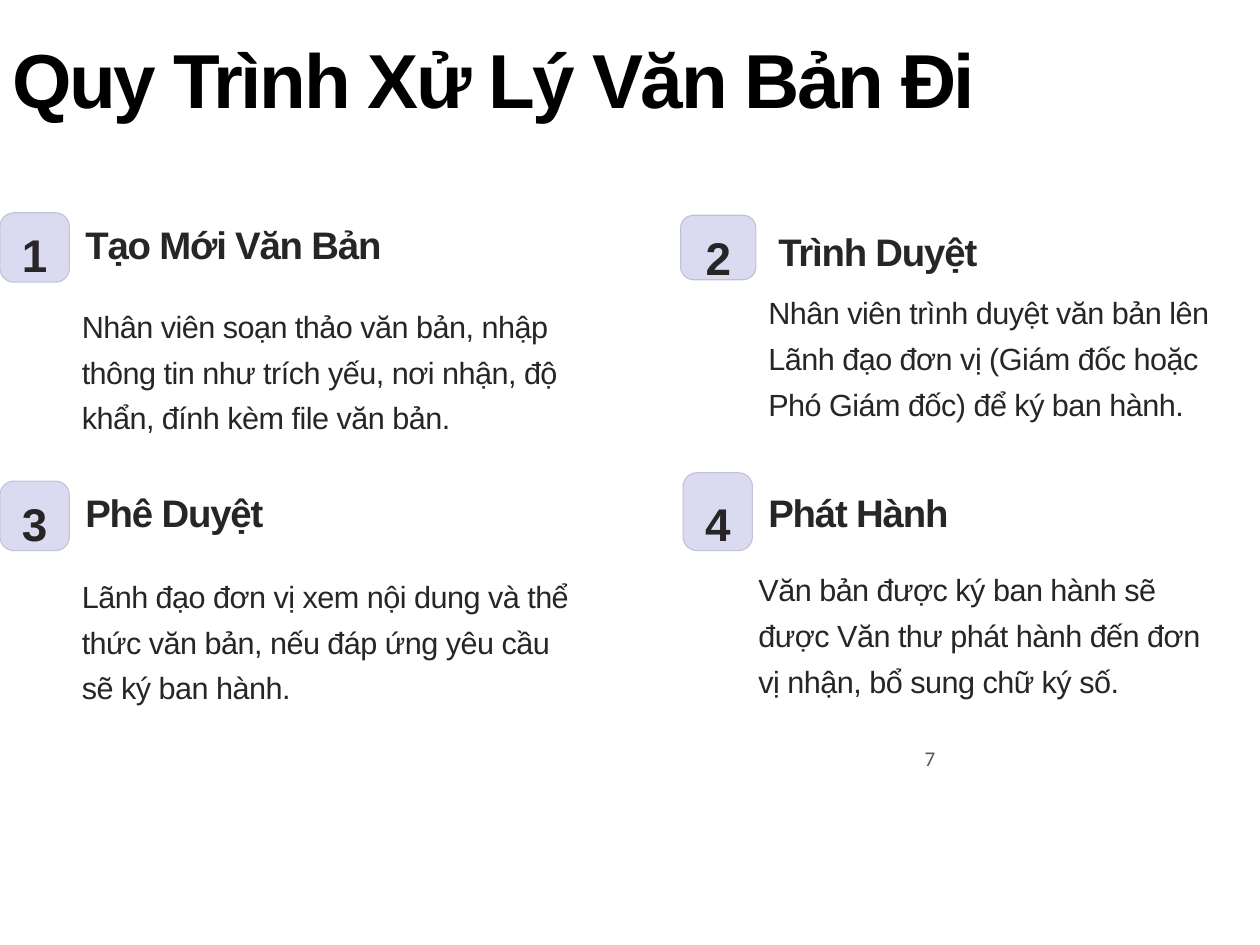
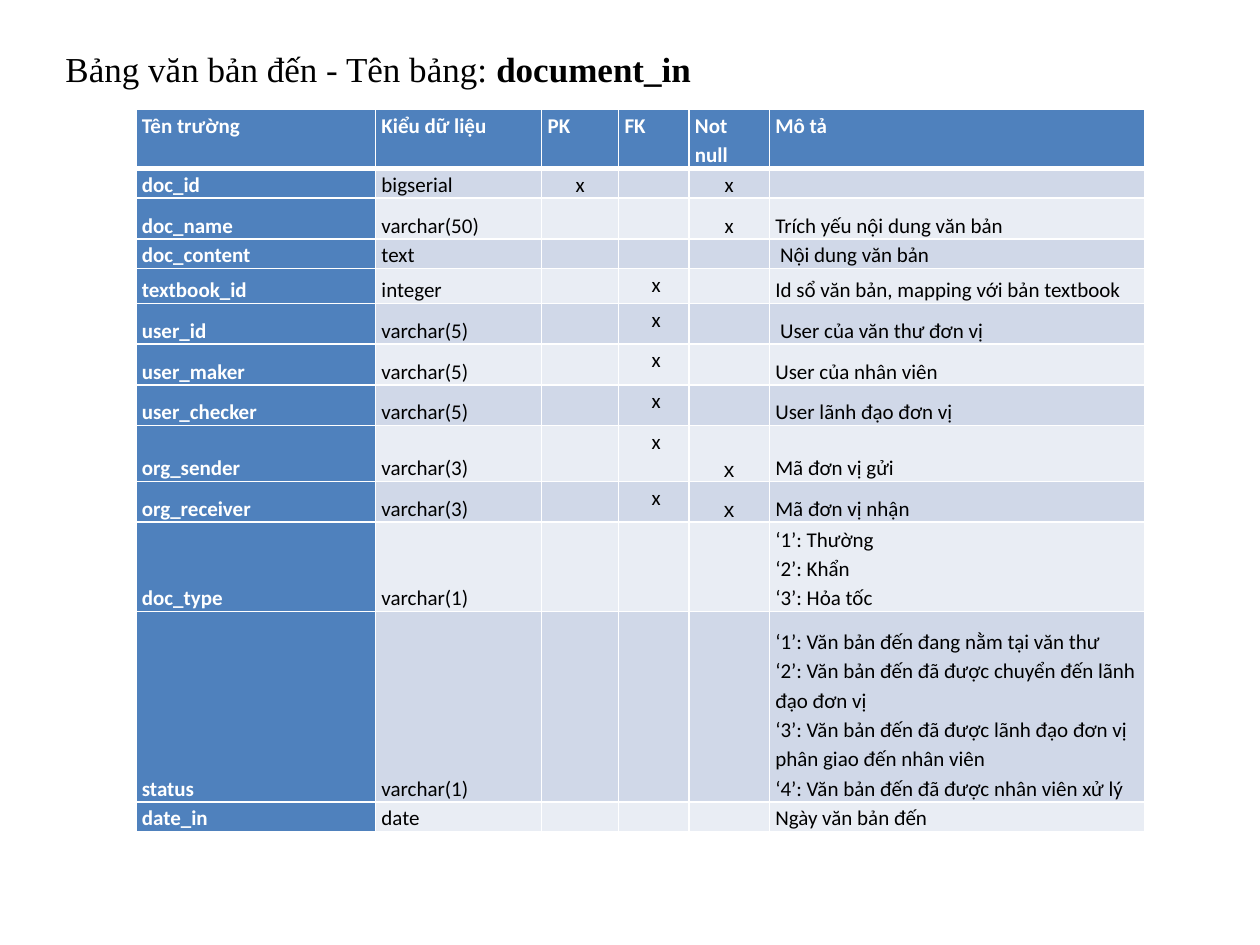
from pptx import Presentation
from pptx.dml.color import RGBColor
from pptx.enum.shapes import MSO_SHAPE
from pptx.enum.text import MSO_ANCHOR, MSO_AUTO_SIZE, PP_ALIGN
from pptx.oxml import parse_xml
from pptx.oxml.ns import nsdecls
from pptx.util import Cm, Pt

ROUND = MSO_SHAPE.ROUNDED_RECTANGLE
TOP, BOTTOM = MSO_ANCHOR.TOP, MSO_ANCHOR.BOTTOM
LEFT, CENTER = PP_ALIGN.LEFT, PP_ALIGN.CENTER
FIXED = MSO_AUTO_SIZE.NONE

COLORS = {
    "black": "000000", "white": "FFFFFF", "ink": "272525", "gray": "585858",
    "badge": "DADBF1", "edge": "C0C1D7",
    "head": "4F81BD", "dark": "D0D8E8", "light": "E9EDF4",
}
PAD = (0.25, 0.13, 0.25, 0.13)
HEAD = dict(size=21.9, color="ink", bold=True, track=-0.7, lead=Pt(27.3))
BODY = dict(size=17.5, color="ink", track=-0.3, lead=Pt(26.2))
DIGIT = dict(size=26.2, color="ink", bold=True, track=-0.8, lead=Pt(32.8), align=CENTER)

# badge box, then heading offset, then body offset and size
STEPS = [
    ((0, 4.29, 1.4, 1.4), (1.47, 0), (1.4, 1.6, 10.46, 3.38), "Tạo Mới Văn Bản",
     "Nhân viên soạn thảo văn bản, nhập thông tin như trích yếu, nơi nhận, "
     "độ khẩn, đính kèm file văn bản."),
    ((13.72, 4.34, 1.52, 1.3), (1.72, 0.1), (1.52, 1.27, 10.16, 3.71), "Trình Duyệt",
     "Nhân viên trình duyệt văn bản lên Lãnh đạo đơn vị (Giám đốc hoặc "
     "Phó Giám đốc) để ký ban hành."),
    ((0, 9.7, 1.4, 1.4), (1.47, 0), (1.4, 1.63, 10.46, 2.77), "Phê Duyệt",
     "Lãnh đạo đơn vị xem nội dung và thể thức văn bản, nếu đáp ứng yêu cầu "
     "sẽ ký ban hành."),
    ((13.77, 9.53, 1.4, 1.57), (1.47, 0.17), (1.27, 1.67, 9.53, 3.48), "Phát Hành",
     "Văn bản được ký ban hành sẽ được Văn thư phát hành đến đơn vị nhận, "
     "bổ sung chữ ký số."),
]

WIDTHS = [4.83, 3.35, 1.55, 1.42, 1.62, 7.57]
HEIGHTS = [1.19, 0.58, 0.82, 0.58, 0.71, 0.82, 0.82, 0.82, 1.13, 0.82, 1.8, 3.84, 0.58]
FK = 3
ROWS = [
    ("Tên trường", "Kiểu dữ liệu", "PK", "FK", "Not null", "Mô tả"),
    ("doc_id", "bigserial", "x", "", "x", ""),
    ("doc_name", "varchar(50)", "", "", "x", "Trích yếu nội dung văn bản"),
    ("doc_content", "text", "", "", "", " Nội dung văn bản"),
    ("textbook_id", "integer", "", " x", "", "Id sổ văn bản, mapping với bản textbook"),
    ("user_id", "varchar(5)", "", " x", "", " User của văn thư đơn vị"),
    ("user_maker", "varchar(5)", "", " x", "", "User của nhân viên"),
    ("user_checker", "varchar(5)", "", " x", "", "User lãnh đạo đơn vị"),
    ("org_sender", "varchar(3)", "", " x", "x", "Mã đơn vị gửi"),
    ("org_receiver", "varchar(3)", "", " x", "x", "Mã đơn vị nhận"),
    ("doc_type", "varchar(1)", "", "", "", "‘1’: Thường\n‘2’: Khẩn\n‘3’: Hỏa tốc"),
    ("status", "varchar(1)", "", "", "",
     "‘1’: Văn bản đến đang nằm tại văn thư\n"
     "‘2’: Văn bản đến đã được chuyển đến lãnh đạo đơn vị\n"
     "‘3’: Văn bản đến đã được lãnh đạo đơn vị phân giao đến nhân viên\n"
     "‘4’: Văn bản đến đã được nhân viên xử lý"),
    ("date_in", "date", "", "", "", "Ngày văn bản đến"),
]


def rgb(name):
    """Return the named colour."""
    return RGBColor.from_string(COLORS[name])


def write(frame, text, tail="", size=12, font="Arial", color="black", bold=False,
          track=0, lead=1.15, align=LEFT):
    """Write text, one paragraph a line, with an optional bold tail."""
    for num, line in enumerate(text.split("\n")):
        para = frame.add_paragraph() if num else frame.paragraphs[0]
        para.alignment, para.line_spacing = align, lead
        for part, heavy in ((line, bold), (tail, True)):
            if not part:
                continue
            run = para.add_run()
            run.text = part
            run.font.size, run.font.name, run.font.bold = Pt(size), font, heavy
            run.font.color.rgb = rgb(color)
            if track:
                run.font._element.set("spc", str(round(track * 100)))
        if not line:
            para._p.get_or_add_endParaRPr().set("sz", str(size * 100))


def inset(item, pad):
    """Set the four margins of a frame or cell."""
    item.margin_left, item.margin_top, item.margin_right, item.margin_bottom = map(Cm, pad)


def label(slide, box, text, wrap=True, pad=PAD, **style):
    """Add a text box."""
    frame = slide.shapes.add_textbox(*map(Cm, box)).text_frame
    frame.word_wrap = wrap
    inset(frame, pad)
    write(frame, text, **style)


def title(slide, box, text, **style):
    """Place and fill the title placeholder."""
    shape = slide.shapes.title
    shape.left, shape.top, shape.width, shape.height = map(Cm, box)
    frame = shape.text_frame
    frame.auto_size, frame.word_wrap, frame.vertical_anchor = FIXED, True, TOP
    inset(frame, PAD)
    write(frame, text, **style)


def step(slide, num, box, head, body, name, text):
    """Draw one numbered step from its badge box."""
    left, top, width, height = box
    badge = slide.shapes.add_shape(ROUND, *map(Cm, box))
    badge.adjustments[0] = 0.2
    badge.shadow.inherit = False
    badge.fill.solid()
    badge.fill.fore_color.rgb = rgb("badge")
    badge.line.color.rgb = rgb("edge")
    badge.line.width = Pt(0.6)
    tall = min(1.17, height - 0.23)
    spot = (left + width / 2 - 0.3, top + height - tall - 0.12, 0.6, tall)
    label(slide, spot, str(num), pad=(0, 0.13, 0, 0.13), **DIGIT)
    label(slide, (left + head[0], top + head[1], 7.72, 0.97), name, wrap=False, **HEAD)
    label(slide, (left + body[0], top + body[1], *body[2:]), text, **BODY)


def flow(slide):
    """Build the slide of process steps."""
    title(slide, (0, 0.43, 20.5, 1.93), "Quy Trình Xử Lý Văn Bản Đi",
          size=43.7, bold=True, track=-1.3, lead=Pt(54.7))
    for num, item in enumerate(STEPS, 1):
        step(slide, num, *item)
    label(slide, (18.54, 15.11, 0.69, 0.48), "7", pad=(0.1, 0, 0, 0), font="Calibri",
          color="gray", track=-0.2, lead=Pt(12.4))


def border(cell, row):
    """Draw white cell edges, thick under the header."""
    thick = {"B": 0, "T": 1}
    for side in "LRTB":
        width = Pt(3 if thick.get(side) == row else 1)
        cell._tc.get_or_add_tcPr().append(parse_xml(
            f'<a:ln{side} {nsdecls("a")} w="{width}"><a:solidFill>'
            f'<a:srgbClr val="{COLORS["white"]}"/></a:solidFill></a:ln{side}>'))


def grid(slide, left, top):
    """Draw the table of fields."""
    table = slide.shapes.add_table(
        len(ROWS), len(WIDTHS), Cm(left), Cm(top),
        Cm(sum(WIDTHS)), Cm(sum(HEIGHTS))).table
    table.first_col = True
    for col, width in zip(table.columns, WIDTHS):
        col.width = Cm(width)
    for row, height in zip(table.rows, HEIGHTS):
        row.height = Cm(height)
    for r, row in enumerate(ROWS):
        for c, text in enumerate(row):
            cell = table.cell(r, c)
            main = r == 0 or c == 0
            inset(cell, (0.12, 0, 0.12, 0))
            cell.vertical_anchor = TOP if r == 0 or c == FK else BOTTOM
            border(cell, r)
            cell.fill.solid()
            cell.fill.fore_color.rgb = rgb("head" if main else "dark" if r % 2 else "light")
            odd = row[0].startswith("org") and c == FK + 1
            write(cell.text_frame, text, font="Arial" if odd else "Calibri",
                  color="white" if main else "black", bold=main,
                  align=CENTER if text.strip() == "x" else LEFT)


def schema(slide):
    """Build the slide of table fields."""
    grid(slide, 2.74, 2.21)
    title(slide, (1.07, 0.71, 15.77, 1.17), "Bảng văn bản đến - Tên bảng: ",
          tail="document_in", size=20, font="Times New Roman")


def main():
    """Build and save the deck."""
    deck = Presentation()
    deck.slide_width, deck.slide_height = Cm(25.4), Cm(19.05)
    for build in (flow, schema):
        build(deck.slides.add_slide(deck.slide_layouts[5]))
    deck.save("out.pptx")


if __name__ == "__main__":
    main()
